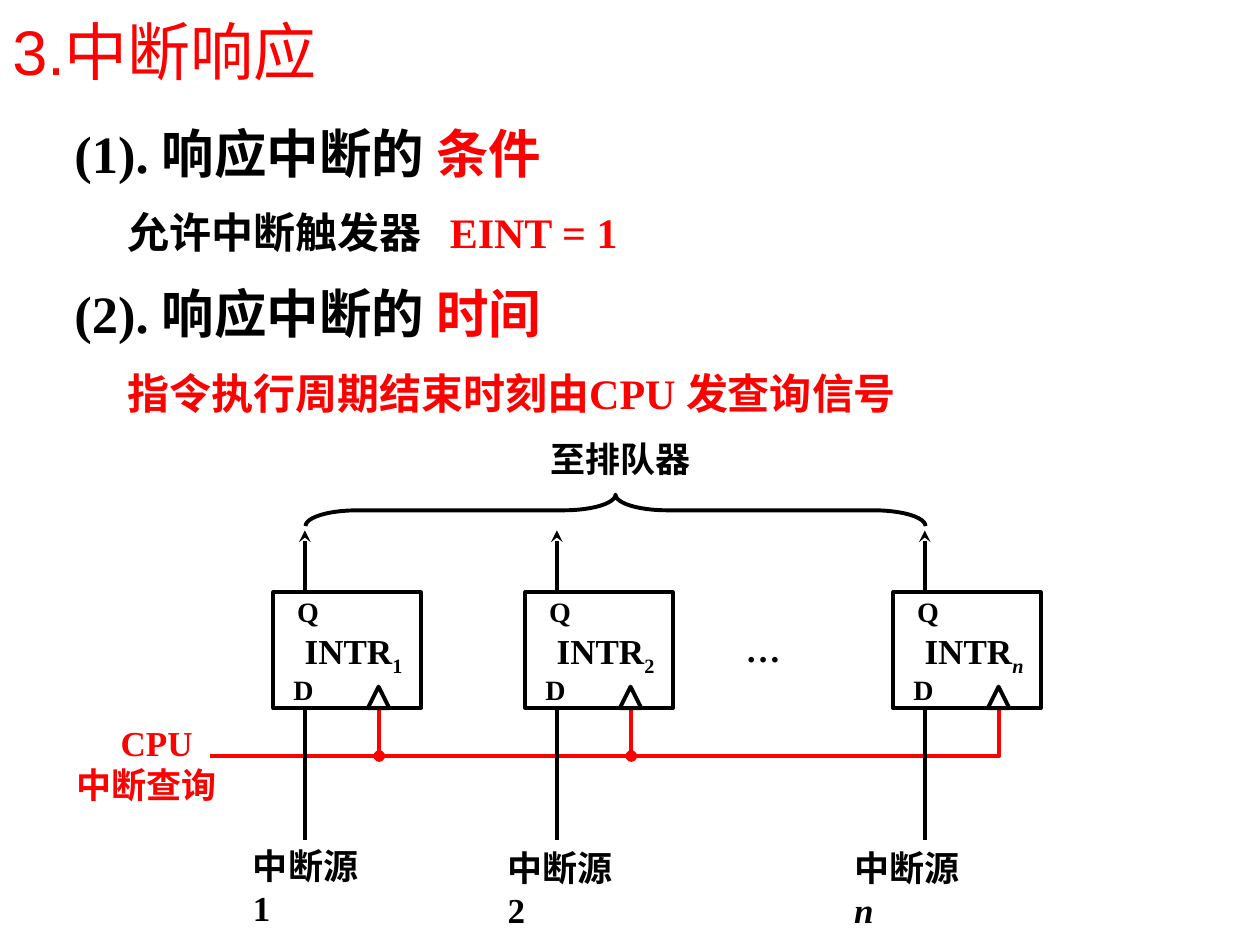
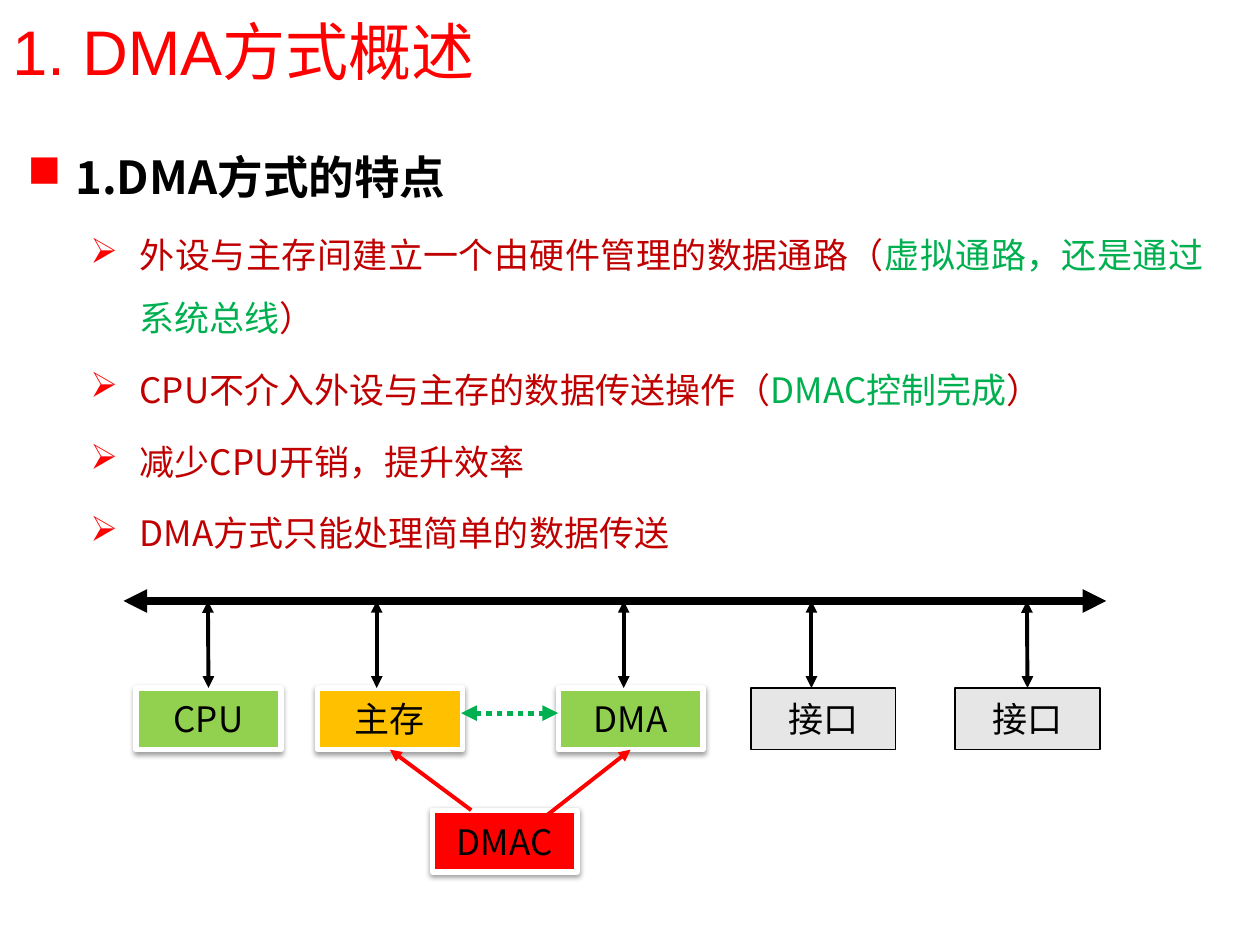
"""Build two slides on interrupt response and the DMA method."""
import pptx
import pptx.dml.color
import pptx.enum.dml
import pptx.enum.shapes
import pptx.enum.text
import pptx.oxml.ns
import pptx.util
from lxml import etree

Inches = pptx.util.Inches
Points = pptx.util.Pt
RGB = pptx.dml.color.RGBColor.from_string
qualified = pptx.oxml.ns.qn
Shapes = pptx.enum.shapes.MSO_SHAPE
Align = pptx.enum.text.PP_ALIGN
Anchor = pptx.enum.text.MSO_ANCHOR

COLORS = {
    "black": "000000", "white": "FFFFFF", "red": "FF0000", "dark_red": "C00000",
    "green": "00B050", "lime": "92D050", "amber": "FFC000", "gray": "E7E6E6",
}
SERIF, SANS = "Times New Roman", "Noto Sans CJK SC"


def add_text(target, text, box=None, size=20, font=SERIF, color="black", bold=True,
             anchor=None, inset=0.1, align=None, left=0, hanging=0, spacing=None,
             before=None, bullet=None):
    """Append a paragraph to a shape, or to a new text box on a slide."""
    if box:
        target = target.shapes.add_textbox(*map(Inches, box))
    frame = target.text_frame
    frame.word_wrap = True
    frame.margin_left = frame.margin_right = Inches(inset)
    if anchor is not None:
        frame.vertical_anchor = anchor
    paragraph = frame.add_paragraph() if frame.text else frame.paragraphs[0]
    paragraph.alignment = align
    paragraph.line_spacing = spacing
    if before:
        paragraph.space_before = Points(before)
    properties = paragraph._p.get_or_add_pPr()
    if left:
        properties.set("marL", str(Inches(left)))
        properties.set("indent", str(-Inches(hanging)))
    if bullet:
        bullet_color = etree.SubElement(properties, qualified("a:buClr"))
        etree.SubElement(bullet_color, qualified("a:srgbClr"), val=COLORS["red"])
        etree.SubElement(properties, qualified("a:buChar"), char=bullet)
    for words, changes in [(text, {})] if isinstance(text, str) else text:
        run = paragraph.add_run()
        run.text = words
        run.font.size = Points(size)
        run.font.bold = bold
        run.font.italic = changes.get("italic")
        run.font.color.rgb = RGB(COLORS[changes.get("color", color)])
        run.font.name = font
        run_properties = run._r.get_or_add_rPr()
        etree.SubElement(run_properties, qualified("a:ea"), typeface=SANS)
        if "baseline" in changes:
            run_properties.set("baseline", str(changes["baseline"]))
    return target


def add_line(slide, start, end, color="black", width=2.25, head=None, tail=None):
    """Add a straight connector with optional line ends."""
    connector = slide.shapes.add_connector(
        pptx.enum.shapes.MSO_CONNECTOR.STRAIGHT, *map(Inches, (*start, *end)))
    connector.line.color.rgb = RGB(COLORS[color])
    connector.line.width = Points(width)
    outline = connector.line._get_or_add_ln()
    for tag, kind in (("a:headEnd", head), ("a:tailEnd", tail)):
        if kind:
            etree.SubElement(outline, qualified(tag), type=kind)
    etree.SubElement(connector._element.spPr, qualified("a:effectLst"))
    return connector


presentation = pptx.Presentation()
presentation.slide_width = Inches(10)
presentation.slide_height = Inches(7.5)
slides = []
for title in ("3.中断响应", "1. DMA方式概述"):
    slide = presentation.slides.add_slide(presentation.slide_layouts[6])
    add_text(slide, title, (0, 0, 9.8, 0.8), size=36, font="Arial", color="red",
             bold=False, anchor=Anchor.MIDDLE)
    slides.append(slide)
interrupt_slide, dma_slide = slides

RED = {"color": "red"}
statements = [
    (0.59, 0.92, 30, [("(1). 响应中断的 ", {}), ("条件", RED)]),
    (1.01, 1.55, 24, [("允许中断触发器   ", {}), ("EINT = 1", RED)]),
    (0.59, 2.19, 30, [("(2). 响应中断的 ", {}), ("时间", RED)]),
    (1.01, 2.83, 24, [("指令执行周期结束时刻由CPU 发查询信号", RED)]),
]
for left, top, size, runs in statements:
    add_text(interrupt_slide, runs, (left, top, 7.33, 0.58), size=size,
             anchor=Anchor.MIDDLE, inset=0)

builder = interrupt_slide.shapes.build_freeform(Inches(1.67), Inches(6))
builder.add_line_segments([(Inches(7.93), Inches(6)), (Inches(7.93), Inches(5.62))], close=False)
query_line = builder.convert_to_shape()
brace = interrupt_slide.shapes.add_shape(
    Shapes.LEFT_BRACE, Inches(4.76), Inches(1.59), Inches(0.25), Inches(4.92))
brace.rotation = 90
brace.adjustments[0] = 1.639
outlined = [(query_line, "red"), (brace, "black")]

registers = [
    (2.17, "1", False, 1.91, 6.65),
    (4.17, "2", False, 3.93, 6.67),
    (7.09, "n", True, 6.68, 6.67),
]
for left, index, italic, source_left, source_top in registers:
    add_line(interrupt_slide, (left + 0.25, 4.71), (left + 0.25, 4.21), tail="stealth")
    if index != "n":
        add_line(interrupt_slide, (left + 0.84, 5.62), (left + 0.84, 6), "red", tail="oval")
    register = interrupt_slide.shapes.add_shape(
        Shapes.RECTANGLE, Inches(left), Inches(4.7), Inches(1.17), Inches(0.92))
    clock = interrupt_slide.shapes.add_shape(
        Shapes.ISOSCELES_TRIANGLE, Inches(left + 0.75), Inches(5.45), Inches(0.17), Inches(0.17))
    outlined += [(register, "black"), (clock, "black")]
    add_text(interrupt_slide, [("INTR", {}), (index, {"italic": italic, "baseline": -25000})],
             (left + 0.15, 4.95, 1.2, 0.43))
    add_text(interrupt_slide, "D", (left + 0.06, 5.29, 0.45, 0.37), size=16)
    add_text(interrupt_slide, "Q", (left + 0.09, 4.67, 0.45, 0.37), size=16)
    add_line(interrupt_slide, (left + 0.25, 5.62), (left + 0.25, 6.67))
    add_text(interrupt_slide, [("中断源 ", {}), (index, {"italic": italic})],
             (source_left, source_top, 1.1, 0.8))

for shape, color in outlined:
    shape.shadow.inherit = False
    shape.fill.background()
    shape.line.color.rgb = RGB(COLORS[color])
    shape.line.width = Points(2.25)

query_label = add_text(interrupt_slide, "CPU", (0.51, 5.68, 1.4, 0.77), color="red", left=0.35)
add_text(query_label, "中断查询", color="red")
add_text(interrupt_slide, "…", (5.82, 4.93, 0.6, 0.43))
add_text(interrupt_slide, "至排队器", (4.27, 3.42, 1.5, 0.43))

GREEN = {"color": "green"}
features = add_text(dma_slide, "1.DMA方式的特点", (0.12, 0.92, 9.53, 3.94), size=26, font=SANS,
                    align=Align.JUSTIFY, left=0.38, hanging=0.38, spacing=1.5, before=10,
                    bullet="■")
for runs in (
    [("外设与主存间建立一个由硬件管理的数据通路（", {}),
     ("虚拟通路，还是通过系统总线", GREEN), ("）", {})],
    [("CPU不介入外设与主存的数据传送操作（", {}), ("DMAC控制完成", GREEN), ("）", {})],
    "减少CPU开销，提升效率",
    "DMA方式只能处理简单的数据传送",
):
    add_text(features, runs, font=SANS, color="dark_red", bold=False, align=Align.JUSTIFY,
             left=0.89, hanging=0.39, spacing=1.5, before=5, bullet="➢")

BUS_TOP, UNIT_TOP = 4.77, 5.46
BOTH_ENDS = {"head": "triangle", "tail": "triangle"}
add_line(dma_slide, (0.98, BUS_TOP), (8.78, BUS_TOP), width=4.5, **BOTH_ENDS)
units = [
    ("CPU", 1.08, UNIT_TOP, "lime", 1.65),
    ("主存", 2.52, UNIT_TOP, "amber", 2.99),
    ("DMA", 4.43, UNIT_TOP, "lime", 4.95),
    ("接口", 5.96, UNIT_TOP, "gray", 6.44),
    ("接口", 7.58, UNIT_TOP, "gray", 8.15),
    ("DMAC", 3.43, 6.43, "red", None),
]
boxes = {}
for name, left, top, fill, link_left in units:
    box = dma_slide.shapes.add_shape(
        Shapes.RECTANGLE, Inches(left), Inches(top), Inches(1.15), Inches(0.49))
    boxes[name] = box
    plain = fill == "gray"
    box.fill.solid()
    box.fill.fore_color.rgb = RGB(COLORS[fill])
    box.line.color.rgb = RGB(COLORS["black" if plain else "white"])
    box.line.width = Points(0.75 if plain else 3)
    box.shadow.inherit = False
    if not plain:
        effects = box._element.spPr.find(qualified("a:effectLst"))
        shadow = etree.SubElement(effects, qualified("a:outerShdw"), blurRad=str(Points(3.1)),
                                  dist=str(Points(1.6)), dir="5400000", rotWithShape="0")
        shade = etree.SubElement(shadow, qualified("a:srgbClr"), val=COLORS["black"])
        etree.SubElement(shade, qualified("a:alpha"), val="38000")
    add_text(box, name, font=SANS, bold=False, anchor=Anchor.MIDDLE, align=Align.CENTER)
    if link_left:
        link = add_line(dma_slide, (link_left, BUS_TOP), (link_left, UNIT_TOP), **BOTH_ENDS)
        if abs(left + 1.15 / 2 - link_left) < 0.01:
            link.end_connect(box, 0)

transfer = add_line(dma_slide, (3.66, 5.66), (4.43, 5.66), "green", 3, **BOTH_ENDS)
transfer.line.dash_style = pptx.enum.dml.MSO_LINE.ROUND_DOT
for name, start, end in (("DMA", (4.29, 6.51), (5, 5.95)), ("主存", (3.74, 6.43), (3.09, 5.95))):
    control = add_line(dma_slide, start, end, "red", tail="triangle")
    control.end_connect(boxes[name], 2)

presentation.save("out.pptx")
